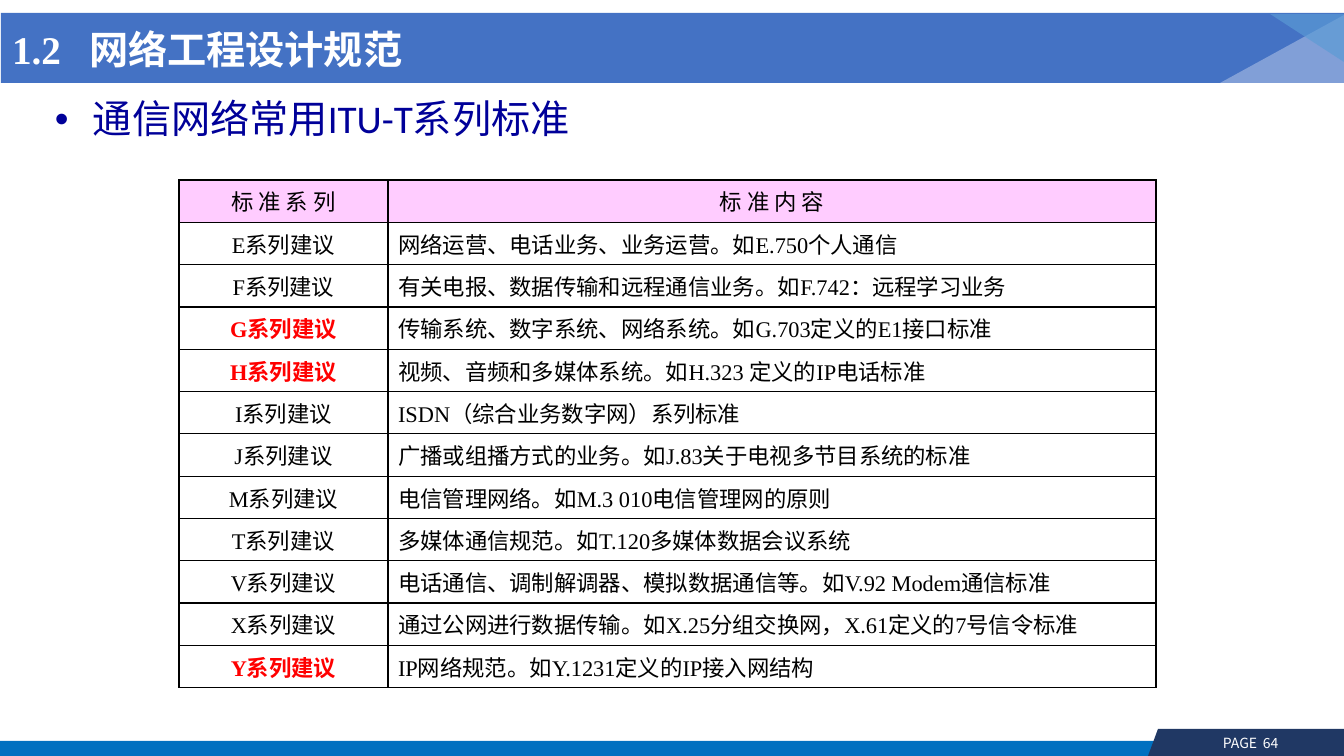
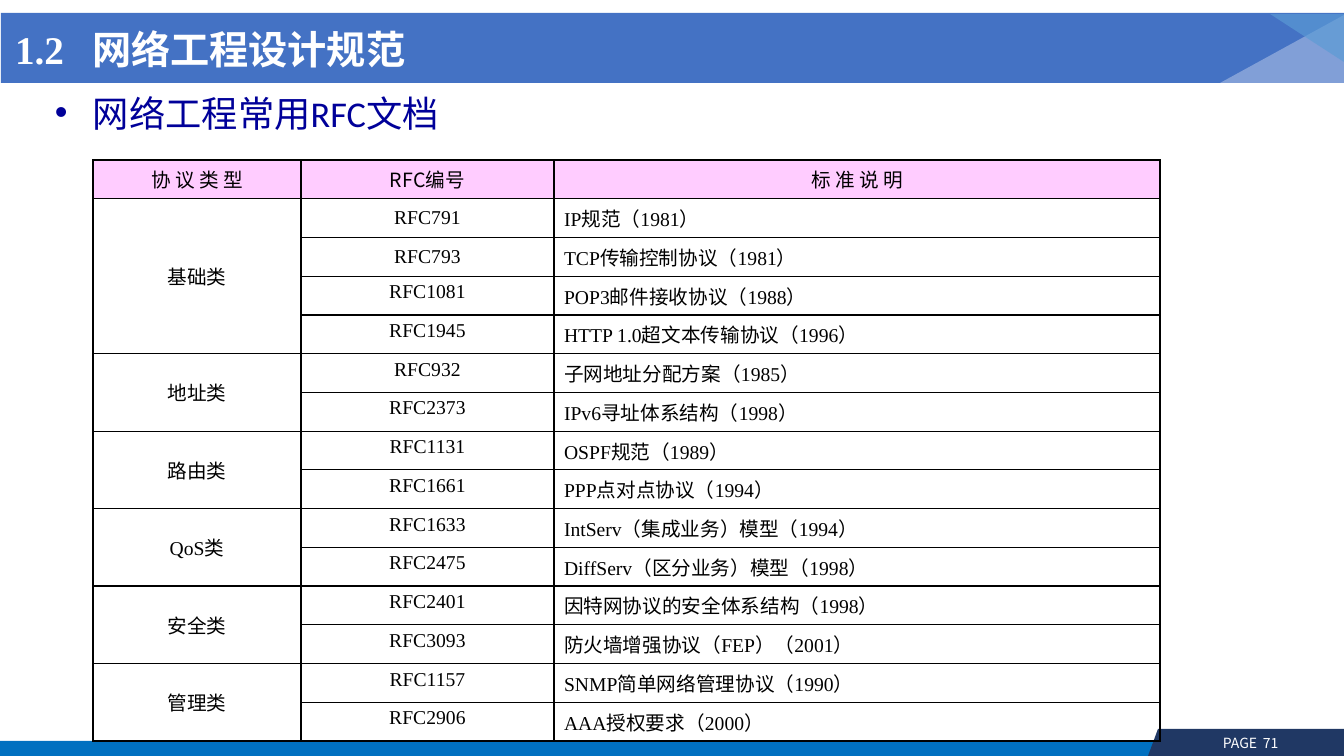
import pptx
import pptx.dml.color
import pptx.enum.shapes
import pptx.enum.text
import pptx.oxml
import pptx.oxml.ns
import pptx.util
from lxml import etree

RGBColor = pptx.dml.color.RGBColor
SHAPES = pptx.enum.shapes.MSO_SHAPE
ALIGN = pptx.enum.text.PP_ALIGN
ANCHOR = pptx.enum.text.MSO_ANCHOR
qn = pptx.oxml.ns.qn

EMU_PER_PX = 914400 / 100.8
WIDTH, HEIGHT = 1344, 756

WHITE = RGBColor(0xFF, 0xFF, 0xFF)
BLACK = RGBColor(0x00, 0x00, 0x00)
RED = RGBColor(0xFF, 0x00, 0x00)
NAVY_TEXT = RGBColor(0x00, 0x00, 0x99)
BANNER_BLUE = RGBColor(0x44, 0x72, 0xC4)
FOOTER_BLUE = RGBColor(0x00, 0x70, 0xC0)
PAGE_NAVY = RGBColor(0x20, 0x38, 0x64)
PALE_BLUE = RGBColor(0x8F, 0xAA, 0xDC)
SKY_BLUE = RGBColor(0x5B, 0x9B, 0xD5)
HEADER_PINK = RGBColor(0xFF, 0xCC, 0xFF)

SANS = "Noto Sans CJK SC"
SERIF = "Times New Roman"
TITLE_FORMAT = {"name": SERIF, "size": pptx.util.Pt(28), "bold": True}
PAGE_FORMAT = {"name": SANS, "size": pptx.util.Pt(10)}

TITLE = "1.2\t网络工程设计规范"
ITU_ROWS = [
    ("标 准 系 列", "标 准 内 容"),
    ("E系列建议", "网络运营、电话业务、业务运营。如E.750个人通信"),
    ("F系列建议", "有关电报、数据传输和远程通信业务。如F.742：远程学习业务"),
    ("G系列建议", "传输系统、数字系统、网络系统。如G.703定义的E1接口标准"),
    ("H系列建议", "视频、音频和多媒体系统。如H.323 定义的IP电话标准"),
    ("I系列建议", "ISDN（综合业务数字网）系列标准"),
    ("J系列建议", "广播或组播方式的业务。如J.83关于电视多节目系统的标准"),
    ("M系列建议", "电信管理网络。如M.3 010电信管理网的原则"),
    ("T系列建议", "多媒体通信规范。如T.120多媒体数据会议系统"),
    ("V系列建议", "电话通信、调制解调器、模拟数据通信等。如V.92 Modem通信标准"),
    ("X系列建议", "通过公网进行数据传输。如X.25分组交换网，X.61定义的7号信令标准"),
    ("Y系列建议", "IP网络规范。如Y.1231定义的IP接入网结构"),
]
KEY_SERIES = {"G系列建议", "H系列建议", "Y系列建议"}
RFC_HEADER = ("协 议 类 型", "RFC编号", "标 准 说 明")
RFC_GROUPS = {
    "基础类": [
        ("RFC791", "IP规范（1981）"),
        ("RFC793", "TCP传输控制协议（1981）"),
        ("RFC1081", "POP3邮件接收协议（1988）"),
        ("RFC1945", "HTTP 1.0超文本传输协议（1996）"),
    ],
    "地址类": [
        ("RFC932", "子网地址分配方案（1985）"),
        ("RFC2373", "IPv6寻址体系结构（1998）"),
    ],
    "路由类": [
        ("RFC1131", "OSPF规范（1989）"),
        ("RFC1661", "PPP点对点协议（1994）"),
    ],
    "QoS类": [
        ("RFC1633", "IntServ（集成业务）模型（1994）"),
        ("RFC2475", "DiffServ（区分业务）模型（1998）"),
    ],
    "安全类": [
        ("RFC2401", "因特网协议的安全体系结构（1998）"),
        ("RFC3093", "防火墙增强协议（FEP）（2001）"),
    ],
    "管理类": [
        ("RFC1157", "SNMP简单网络管理协议（1990）"),
        ("RFC2906", "AAA授权要求（2000）"),
    ],
}


def px(length):
    return pptx.util.Emu(round(length * EMU_PER_PX))


def box(*lengths):
    return [px(length) for length in lengths]


def set_attributes(target, values):
    for name, value in values.items():
        setattr(target, name, value)


def add_element(parent, tag, **attributes):
    return etree.SubElement(parent, qn(tag), attributes)


def write(paragraph, text, values, color):
    run = paragraph.add_run()
    run.text = text
    set_attributes(run.font, values)
    run.font.color.rgb = color
    add_element(run.font._element, "a:ea", typeface=SANS)


def add_tab_stop(paragraph, position):
    tabs = add_element(paragraph._p.get_or_add_pPr(), "a:tabLst")
    add_element(tabs, "a:tab", pos=str(px(position)), algn="l")


def paint(shape, color, alpha=None):
    shape.shadow.inherit = False
    shape.line.fill.background()
    shape.fill.solid()
    shape.fill.fore_color.rgb = color
    if alpha is not None:
        color_element = next(shape.element.spPr.iter(qn("a:srgbClr")))
        add_element(color_element, "a:alpha", val=str(alpha * 1000))


def add_band(slide, position, color):
    band = slide.shapes.add_shape(SHAPES.RECTANGLE, *box(*position))
    paint(band, color)
    return band


def add_corner(slide, position, color, alpha, **flips):
    corner = slide.shapes.add_shape(SHAPES.ISOSCELES_TRIANGLE, *box(*position))
    corner.adjustments[0] = 0
    paint(corner, color, alpha)
    transform = corner.element.spPr.find(qn("a:xfrm"))
    for name, value in flips.items():
        transform.set(name, value)
    return corner


def add_page_tab(slide):
    builder = slide.shapes.build_freeform(1158, 729, scale=EMU_PER_PX)
    builder.add_line_segments([(WIDTH, 729), (WIDTH, HEIGHT), (1148, HEIGHT)])
    page_tab = builder.convert_to_shape()
    paint(page_tab, PAGE_NAVY)
    return page_tab


def decorate_layout(layout, slide):
    decorations = [
        add_band(slide, (0, 741, WIDTH, 15), FOOTER_BLUE),
        add_page_tab(slide),
        add_band(slide, (1, 13, 1343, 70), BANNER_BLUE),
        add_corner(slide, (1220, 15, 124, 68), PALE_BLUE, 82, flipH="1"),
        add_corner(slide, (1270, 14, 74, 48), SKY_BLUE, 67, flipH="1", flipV="1"),
    ]
    for decoration in decorations:
        layout.shapes.element.append(decoration.element)


def format_title(slide, left):
    title = slide.shapes.title
    set_attributes(title, dict(zip(("left", "top", "width", "height"), box(left, 17, 953, 64))))
    frame = title.text_frame
    set_attributes(frame, {
        "auto_size": pptx.enum.text.MSO_AUTO_SIZE.NONE,
        "vertical_anchor": ANCHOR.MIDDLE,
    })
    paragraph = frame.paragraphs[0]
    paragraph.alignment = ALIGN.LEFT
    add_tab_stop(paragraph, 77)
    write(paragraph, TITLE, TITLE_FORMAT, WHITE)


def add_page_number(slide, number):
    frame = slide.shapes.add_textbox(*box(1223, 729, 80, 27)).text_frame
    set_attributes(frame, {
        "word_wrap": True, "vertical_anchor": ANCHOR.MIDDLE,
        "margin_left": 0, "margin_right": 0, "margin_top": 0, "margin_bottom": 0,
    })
    paragraph = frame.paragraphs[0]
    add_tab_stop(paragraph, 40)
    write(paragraph, f"PAGE\t{number}", PAGE_FORMAT, WHITE)


def add_bullet(slide, text, position, size, line_spacing):
    frame = slide.shapes.add_textbox(*box(*position)).text_frame
    frame.word_wrap = True
    paragraph = frame.paragraphs[0]
    properties = paragraph._p.get_or_add_pPr()
    properties.set("marL", str(px(38)))
    properties.set("indent", str(-px(38)))
    add_element(properties, "a:buFont", typeface="Arial")
    add_element(properties, "a:buChar", char="•")
    paragraph.line_spacing = line_spacing
    write(paragraph, text, {"name": "Calibri", "size": pptx.util.Pt(size)}, NAVY_TEXT)


def add_borders(cell):
    properties = cell._tc.get_or_add_tcPr()
    for side in ("a:lnL", "a:lnR", "a:lnT", "a:lnB"):
        line = add_element(properties, side, w=str(pptx.util.Pt(1)))
        fill = add_element(line, "a:solidFill")
        add_element(fill, "a:srgbClr", val=str(BLACK))


def fill_cell(cell, text, is_header, is_last_column, size):
    add_borders(cell)
    if is_header:
        cell.fill.solid()
        cell.fill.fore_color.rgb = HEADER_PINK
    else:
        cell.fill.background()
    if not text:
        return
    paragraph = cell.text_frame.paragraphs[0]
    paragraph.alignment = ALIGN.LEFT if is_last_column and not is_header else ALIGN.CENTER
    is_key = text in KEY_SERIES
    values = {"name": SANS if is_header else SERIF, "size": pptx.util.Pt(size), "bold": is_key}
    write(paragraph, text, values, RED if is_key else BLACK)


def add_grid(slide, rows, left, top, widths, height, size):
    frame = slide.shapes.add_table(
        len(rows), len(widths), *box(left, top, sum(widths), height))
    table = frame.table
    set_attributes(table, {"first_row": False, "horz_banding": False})
    for column, width in zip(table.columns, widths):
        column.width = px(width)
    for row in table.rows:
        row.height = px(height / len(rows))
    for row_index, texts in enumerate(rows):
        for column_index, text in enumerate(texts):
            fill_cell(table.cell(row_index, column_index), text,
                      row_index == 0, column_index == len(widths) - 1, size)
    return table


def add_rfc_table(slide):
    rows = [RFC_HEADER]
    for category, documents in RFC_GROUPS.items():
        for index, document in enumerate(documents):
            rows.append(("" if index else category, *document))
    table = add_grid(slide, rows, 93, 160, (208, 253, 606), 581, 14)
    first = 1
    for documents in RFC_GROUPS.values():
        last = first + len(documents) - 1
        table.cell(first, 0).merge(table.cell(last, 0))
        table.cell(first, 0).vertical_anchor = ANCHOR.MIDDLE
        first = last + 1
    for row_index in (1, 2):
        for column_index in (1, 2):
            table.cell(row_index, column_index).vertical_anchor = ANCHOR.MIDDLE


def add_content_slide(presentation, title_left, number):
    slide = presentation.slides.add_slide(presentation.slide_layouts[5])
    format_title(slide, title_left)
    add_page_number(slide, number)
    return slide


def main():
    presentation = pptx.Presentation()
    set_attributes(presentation, {"slide_width": px(WIDTH), "slide_height": px(HEIGHT)})

    itu_slide = add_content_slide(presentation, 2, 64)
    decorate_layout(itu_slide.slide_layout, itu_slide)
    add_bullet(itu_slide, "通信网络常用ITU-T系列标准", (45, 95, 897, 60), 28, 0.9)
    add_grid(itu_slide, ITU_ROWS, 179, 180, (209, 768), 508, 16)

    rfc_slide = add_content_slide(presentation, 5, 71)
    add_bullet(rfc_slide, "网络工程常用RFC文档", (45, 98, 889, 44), 25.9, 0.7)
    add_rfc_table(rfc_slide)

    presentation.save("out.pptx")


if __name__ == "__main__":
    main()
